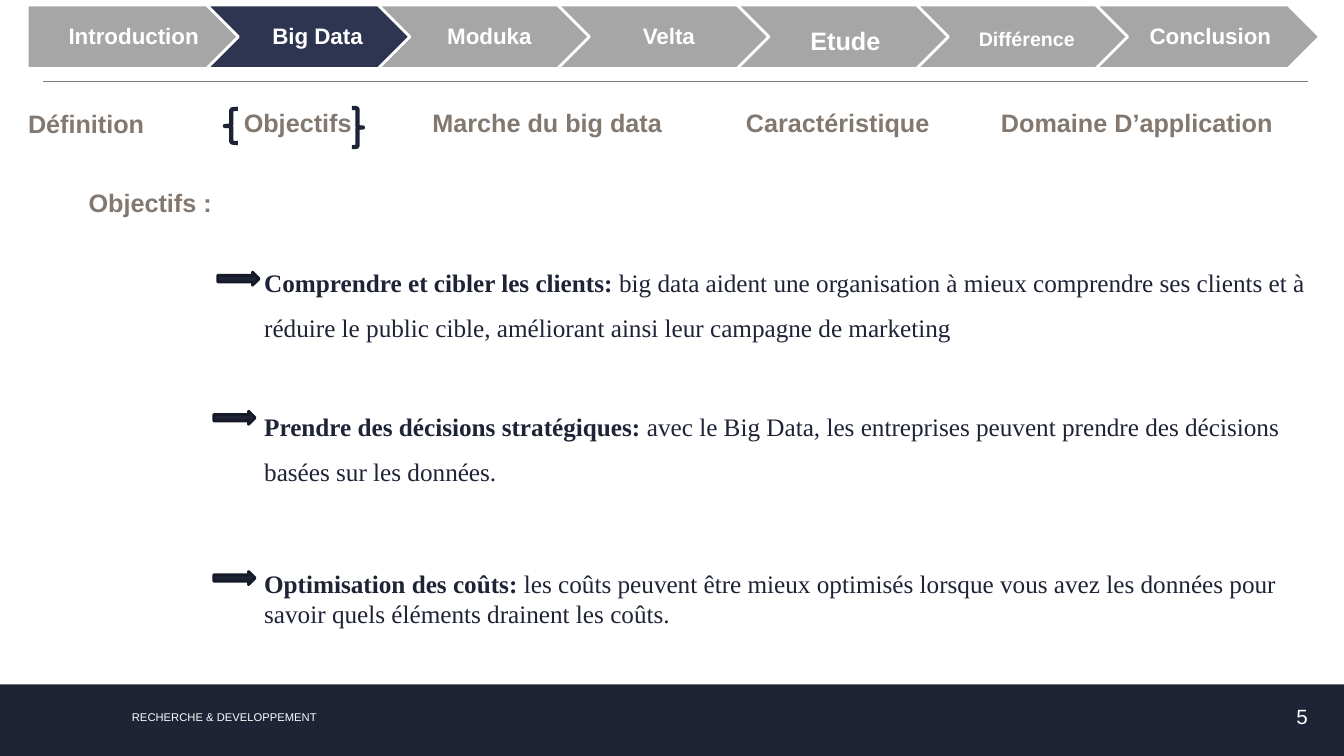
"""Builds the Big Data objectives slide."""
from dataclasses import dataclass

import lxml.etree
import pptx
import pptx.dml.color
import pptx.enum.shapes
import pptx.enum.text
import pptx.oxml.ns
import pptx.util

PX = 9144
SHAPES = pptx.enum.shapes.MSO_SHAPE
ALIGN = pptx.enum.text.PP_ALIGN
ANCHOR = pptx.enum.text.MSO_ANCHOR


@dataclass(frozen=True)
class Theme:
    """Colours, fonts and type sizes of the slide."""
    navy: str = "1E2336"
    active: str = "2D3551"
    brace: str = "1D2235"
    arrow_edge: str = "161A28"
    grey: str = "A6A6A6"
    taupe: str = "83786F"
    white: str = "FFFFFF"
    sans: str = "Arial"
    serif: str = "Times New Roman"
    text: float = 18
    step: float = 16
    number: float = 14.7
    footer: float = 8


THEME = Theme()

STEPS = [
    ("Big Data", 16, 0),
    ("Moduka ", 16, 0),
    ("Velta ", 16, 0),
    ("Etude", 18, 31),
    ("Différence", 14, 21),
    ("Conclusion", 16, 0),
]
MENU = [
    ("Définition", (18, 107, 143, 31)),
    ("Objectifs", (232, 104, 130, 35)),
    ("Marche du big data", (419, 104, 249, 35)),
    ("Caractéristique", (730, 104, 209, 35)),
    ("Domaine D’application", (983, 104, 317, 35)),
]
GOALS = [
    ("Comprendre et cibler les clients: ",
     "big data aident une organisation à mieux comprendre ses clients et à "
     "réduire le public cible, améliorant ainsi leur campagne de marketing", 1.5, 0),
    ("Prendre des décisions stratégiques: ",
     "avec le Big Data, les entreprises peuvent prendre des décisions "
     "basées sur les données.", 1.5, 38),
    ("Optimisation des coûts: ",
     "les coûts peuvent être mieux optimisés lorsque vous avez les données pour "
     "savoir quels éléments drainent les coûts.", 1.0, 58),
]
ARROWS = [(216, 270), (212, 408), (212, 567)]


def px(*lengths):
    """Turn px lengths into EMU."""
    return [pptx.util.Emu(length * PX) for length in lengths]


def rgb(colour):
    """Turn a hex string into a colour."""
    return pptx.dml.color.RGBColor.from_string(colour)


def style_font(font, size, colour, name=THEME.sans, bold=False):
    """Set the look of a font."""
    font.size, font.name, font.bold = pptx.util.Pt(size), name, bold
    font.color.rgb = rgb(colour)


def prepare_frame(frame, anchor):
    """Make a text frame wrap at a fixed size."""
    frame.word_wrap = True
    frame.auto_size = pptx.enum.text.MSO_AUTO_SIZE.NONE
    frame.vertical_anchor = anchor


def move(shape, area):
    """Place a shape at left, top, width, height in px."""
    shape.left, shape.top, shape.width, shape.height = px(*area)


def add_label(page, text, area, size, colour, bold=False,
              align=ALIGN.LEFT, anchor=ANCHOR.MIDDLE):
    """Add a one-line text box."""
    box = page.shapes.add_textbox(*px(*area))
    prepare_frame(box.text_frame, anchor)
    para = box.text_frame.paragraphs[0]
    para.text, para.alignment = text, align
    style_font(para.font, size, colour, bold=bold)


def add_figure(page, kind, area, fill=None, line=None, width=2):
    """Add a preset shape with an optional fill and line."""
    shape = page.shapes.add_shape(kind, *px(*area))
    shape.shadow.inherit = False
    if fill:
        shape.fill.solid()
        shape.fill.fore_color.rgb = rgb(fill)
    else:
        shape.fill.background()
    if line:
        shape.line.color.rgb = rgb(line)
        shape.line.width = pptx.util.Pt(width)
    else:
        shape.line.fill.background()
    return shape


def add_step(page, kind, left, width, fill, text, size=THEME.step, tail_size=0):
    """Add one labelled step of the progress bar."""
    step = add_figure(page, kind, (left, 5, width, 63), fill, THEME.white)
    frame = step.text_frame
    prepare_frame(frame, ANCHOR.MIDDLE)
    frame.margin_left, frame.margin_right = px(7, 2)
    para = frame.paragraphs[0]
    para.alignment, para.line_spacing = ALIGN.CENTER, 0.9
    style_font(para.font, size, THEME.white, bold=True)
    para.add_run().text = text
    if tail_size:
        tail = para.add_run()
        tail.text = " "
        tail.font.size = pptx.util.Pt(tail_size)


def add_progress_bar(page):
    """Add the chain of steps across the top."""
    add_step(page, SHAPES.PENTAGON, 27, 222, THEME.grey, " Introduction ")
    for index, (text, size, tail_size) in enumerate(STEPS):
        if index == 0:
            left, width, fill = 205, 215, THEME.active
        else:
            left, width, fill = 375 + 178 * (index - 1), 222, THEME.grey
        add_step(page, SHAPES.CHEVRON, left, width, fill, text, size, tail_size)


def add_rule(page, left, right, top):
    """Add the thin line under the progress bar."""
    rule = page.shapes.add_connector(
        pptx.enum.shapes.MSO_CONNECTOR.STRAIGHT, *px(left, top, right, top))
    rule.line.color.rgb = rgb(THEME.taupe)
    rule.line.width = pptx.util.Pt(0.75)
    lxml.etree.SubElement(rule._element.spPr, pptx.oxml.ns.qn("a:effectLst"))


def fill_title(page, text):
    """Place and format the title."""
    title = page.shapes.title
    move(title, (4, 183, 290, 35))
    title.text_frame.text = text
    prepare_frame(title.text_frame, ANCHOR.MIDDLE)
    para = title.text_frame.paragraphs[0]
    para.alignment = ALIGN.CENTER
    style_font(para.font, THEME.text, THEME.taupe, bold=True)


def fill_goals(page):
    """Write the goals into the body placeholder."""
    body = page.placeholders[1]
    move(body, (252, 245, 1055, 377))
    frame = body.text_frame
    prepare_frame(frame, ANCHOR.TOP)
    for index, (lead, detail, spacing, gap) in enumerate(GOALS):
        para = frame.add_paragraph() if index else frame.paragraphs[0]
        para.line_spacing, para.space_before = spacing, pptx.util.Pt(gap)
        style_font(para.font, THEME.text, THEME.navy, THEME.serif)
        properties = para._p.get_or_add_pPr()
        properties.set("marL", "0")
        properties.set("indent", "0")
        bullet = lxml.etree.Element(pptx.oxml.ns.qn("a:buNone"))
        properties.find(pptx.oxml.ns.qn("a:defRPr")).addprevious(bullet)
        span = para.add_run()
        span.text, span.font.bold = lead, True
        para.add_run().text = detail


def main():
    """Build and save the slide."""
    deck = pptx.Presentation()
    deck.slide_width, deck.slide_height = px(1333, 750)
    page = deck.slides.add_slide(deck.slide_layouts[1])
    fill_title(page, "Objectifs :")
    fill_goals(page)
    add_figure(page, SHAPES.RECTANGLE, (0, 679, 1333, 71), THEME.navy)
    add_label(page, "RECHERCHE & DEVELOPPEMENT", (121, 700, 315, 24),
              THEME.footer, THEME.white, anchor=ANCHOR.TOP)
    add_label(page, "5", (1234, 690, 73, 42), THEME.number, THEME.white,
              align=ALIGN.RIGHT)
    add_rule(page, 43, 1297, 81)
    add_figure(page, SHAPES.LEFT_BRACE, (223, 108, 13, 34), line=THEME.brace, width=3)
    add_figure(page, SHAPES.RIGHT_BRACE, (349, 107, 11, 39), line=THEME.brace, width=3)
    for text, area in MENU:
        add_label(page, text, area, THEME.text, THEME.taupe, bold=True)
    for left, top in ARROWS:
        add_figure(page, SHAPES.RIGHT_ARROW, (left, top, 41, 13),
                   THEME.navy, THEME.arrow_edge)
    add_progress_bar(page)
    deck.save("out.pptx")


if __name__ == "__main__":
    main()
